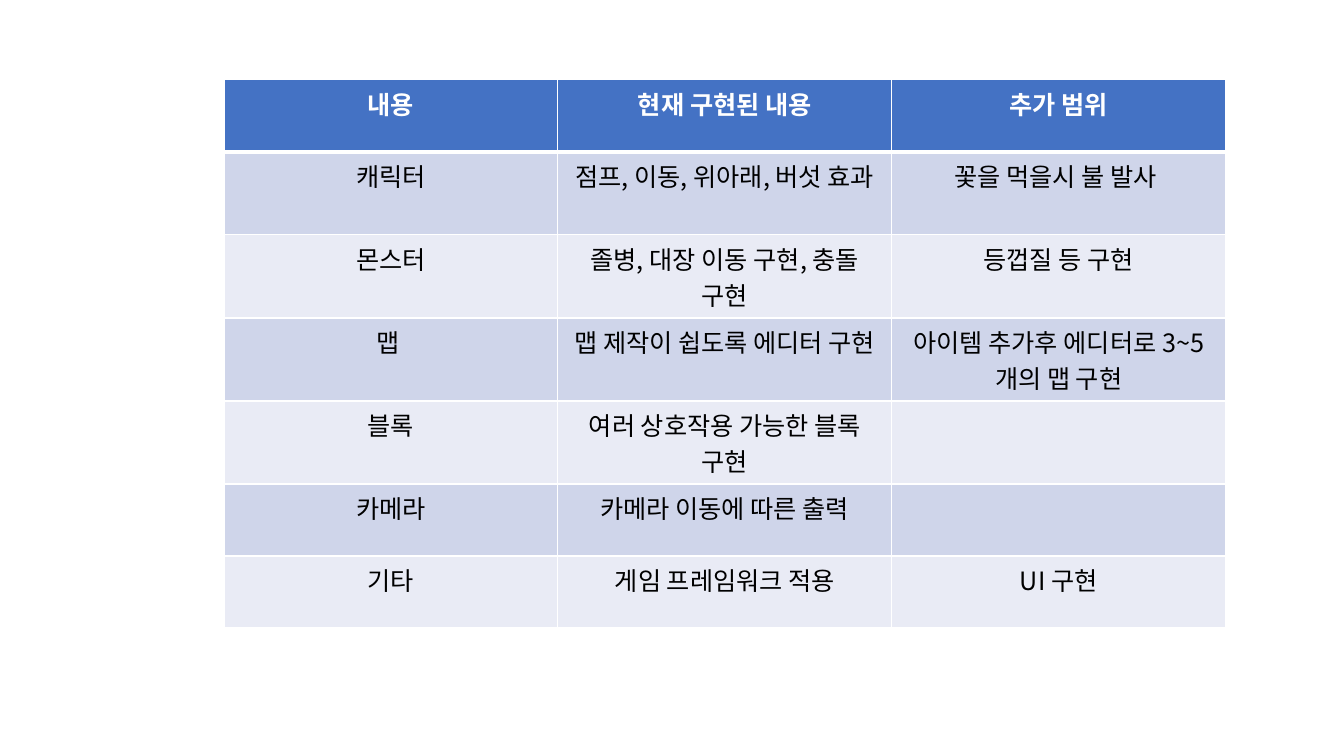
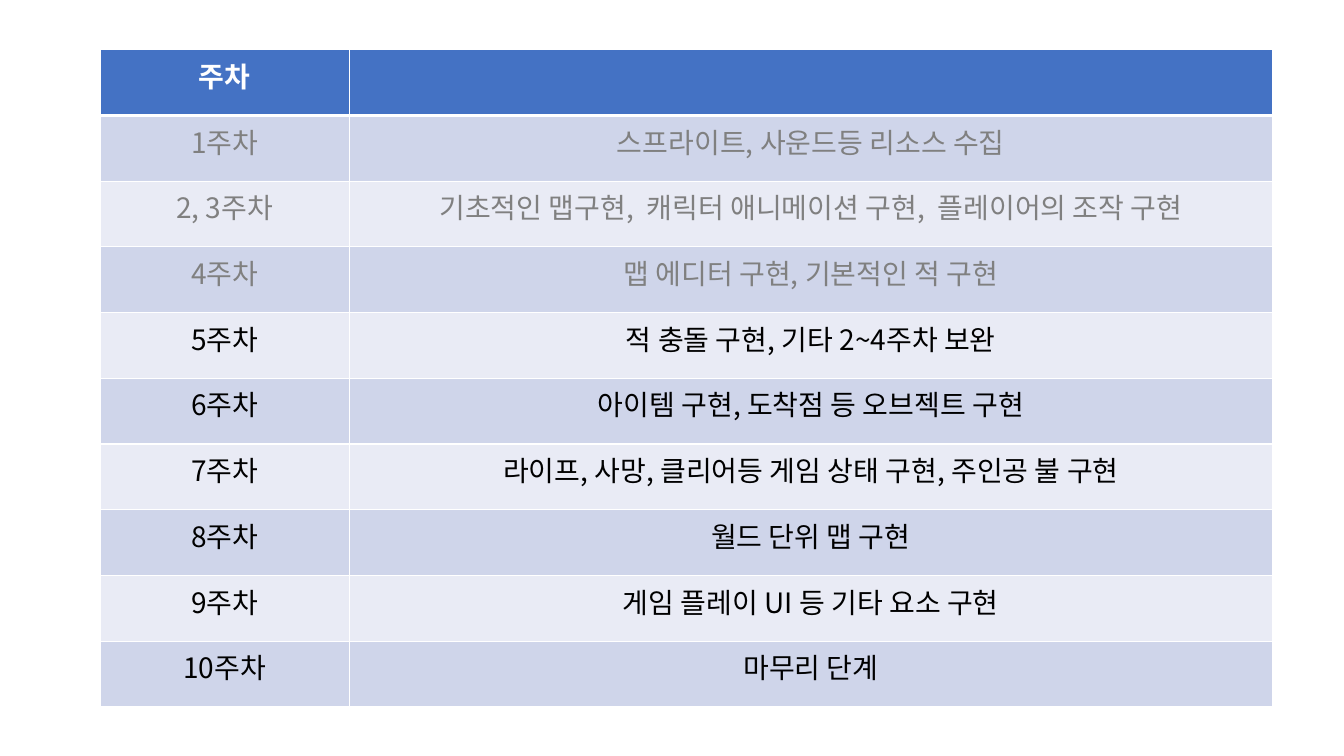
import pptx
import pptx.dml.color
import pptx.enum.text
import pptx.util
from dataclasses import dataclass
from lxml import etree
from pptx.oxml.ns import qn

Pt = pptx.util.Pt


@dataclass(frozen=True)
class Theme:
    font: str = "Noto Sans CJK KR"
    header_fill: str = "4472C4"
    bands: tuple = ("CFD5EA", "E9EBF5")
    white: str = "FFFFFF"
    text: str = "000000"
    done: str = "808080"
    scope_size: int = 18
    plan_size: int = 20
    thin: int = 1
    thick: int = 3


class Deck:
    def __init__(self, theme):
        self.theme = theme
        self.prs = pptx.Presentation()
        self.prs.slide_width, self.prs.slide_height = Pt(960), Pt(540)
        self.s = None

    def slide(self):
        self.s = self.prs.slides.add_slide(self.prs.slide_layouts[6])

    def table(self, left, top, col_widths, height, rows, size, done_rows=()):
        """Add a banded table; done_rows lists finished rows, shown in grey."""
        t = self.theme
        frame = self.s.shapes.add_table(
            len(rows), len(col_widths), Pt(left), Pt(top),
            Pt(sum(col_widths)), Pt(height))
        table = frame.table
        for column, width in zip(table.columns, col_widths):
            column.width = Pt(width)
        for i, row in enumerate(rows):
            table.rows[i].height = Pt(height / len(rows))
            header = i == 0
            if header:
                fill, color = t.header_fill, t.white
            else:
                fill = t.bands[(i - 1) % 2]
                color = t.done if i in done_rows else t.text
            for j, text in enumerate(row):
                cell = table.cell(i, j)
                cell.fill.solid()
                cell.fill.fore_color.rgb = self.rgb(fill)
                self.borders(cell, top=t.thick if i == 1 else t.thin,
                             bottom=t.thick if header else t.thin)
                self.text(cell.text_frame, text, size, color, header)

    def text(self, tf, text, size, color, bold):
        tf.text = text
        p = tf.paragraphs[0]
        p.alignment = pptx.enum.text.PP_ALIGN.CENTER
        font = p.font
        font.name, font.size, font.bold = self.theme.font, Pt(size), bold
        font.color.rgb = self.rgb(color)
        # Korean text takes its face from the East Asian font
        props = p._p.pPr.find(qn("a:defRPr"))
        etree.SubElement(props, qn("a:ea"), typeface=self.theme.font)

    def borders(self, cell, top, bottom):
        thin = self.theme.thin
        sides = (("L", thin), ("R", thin), ("T", top), ("B", bottom))
        tc_pr = cell._tc.get_or_add_tcPr()
        for n, (side, width) in enumerate(sides):
            line = etree.Element(qn("a:ln" + side), w=str(Pt(width)))
            fill = etree.SubElement(line, qn("a:solidFill"))
            etree.SubElement(fill, qn("a:srgbClr"), val=self.theme.white)
            tc_pr.insert(n, line)

    @staticmethod
    def rgb(color):
        return pptx.dml.color.RGBColor.from_string(color)


SCOPE = [
    ("내용", "현재 구현된 내용", "추가 범위"),
    ("캐릭터", "점프, 이동, 위아래, 버섯 효과", "꽃을 먹을시 불 발사 "),
    ("몬스터", "졸병, 대장 이동 구현, 충돌 구현", "등껍질 등 구현"),
    ("맵 ", "맵 제작이 쉽도록 에디터 구현", "아이템 추가후 에디터로 3~5개의 맵 구현"),
    ("블록", "여러 상호작용 가능한 블록 구현", ""),
    ("카메라", "카메라 이동에 따른 출력", ""),
    ("기타", "게임 프레임워크 적용", "UI 구현"),
]

PLAN = [
    ("주차", ""),
    ("1주차", "스프라이트, 사운드등 리소스 수집"),
    ("2, 3주차", "기초적인 맵구현,  캐릭터 애니메이션 구현,  플레이어의 조작 구현"),
    ("4주차", "맵 에디터 구현, 기본적인 적 구현"),
    ("5주차", "적 충돌 구현, 기타 2~4주차 보완"),
    ("6주차", "아이템 구현, 도착점 등 오브젝트 구현"),
    ("7주차", "라이프, 사망, 클리어등 게임 상태 구현, 주인공 불 구현"),
    ("8주차", "월드 단위 맵 구현"),
    ("9주차", "게임 플레이 UI 등 기타 요소 구현"),
    ("10주차", "마무리 단계"),
]


def main():
    theme = Theme()
    deck = Deck(theme)

    # Development scope
    deck.slide()
    deck.table(160, 57, [238.5] * 3, 360, SCOPE, theme.scope_size)

    # Weekly plan
    deck.slide()
    deck.table(71.5, 35.5, [178, 659.5], 469.5, PLAN, theme.plan_size,
               done_rows=(1, 2, 3))

    deck.prs.save("out.pptx")


if __name__ == "__main__":
    main()
